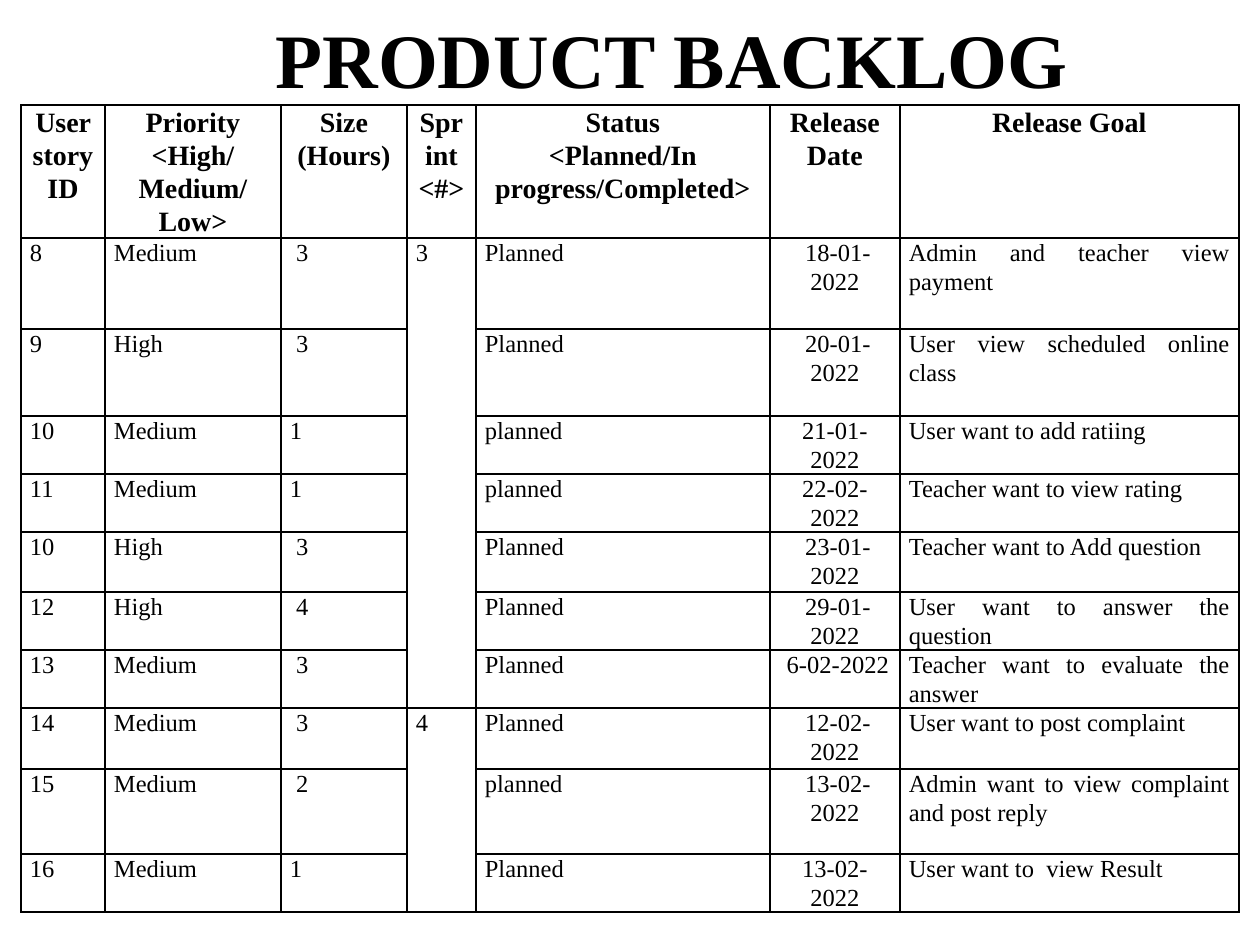
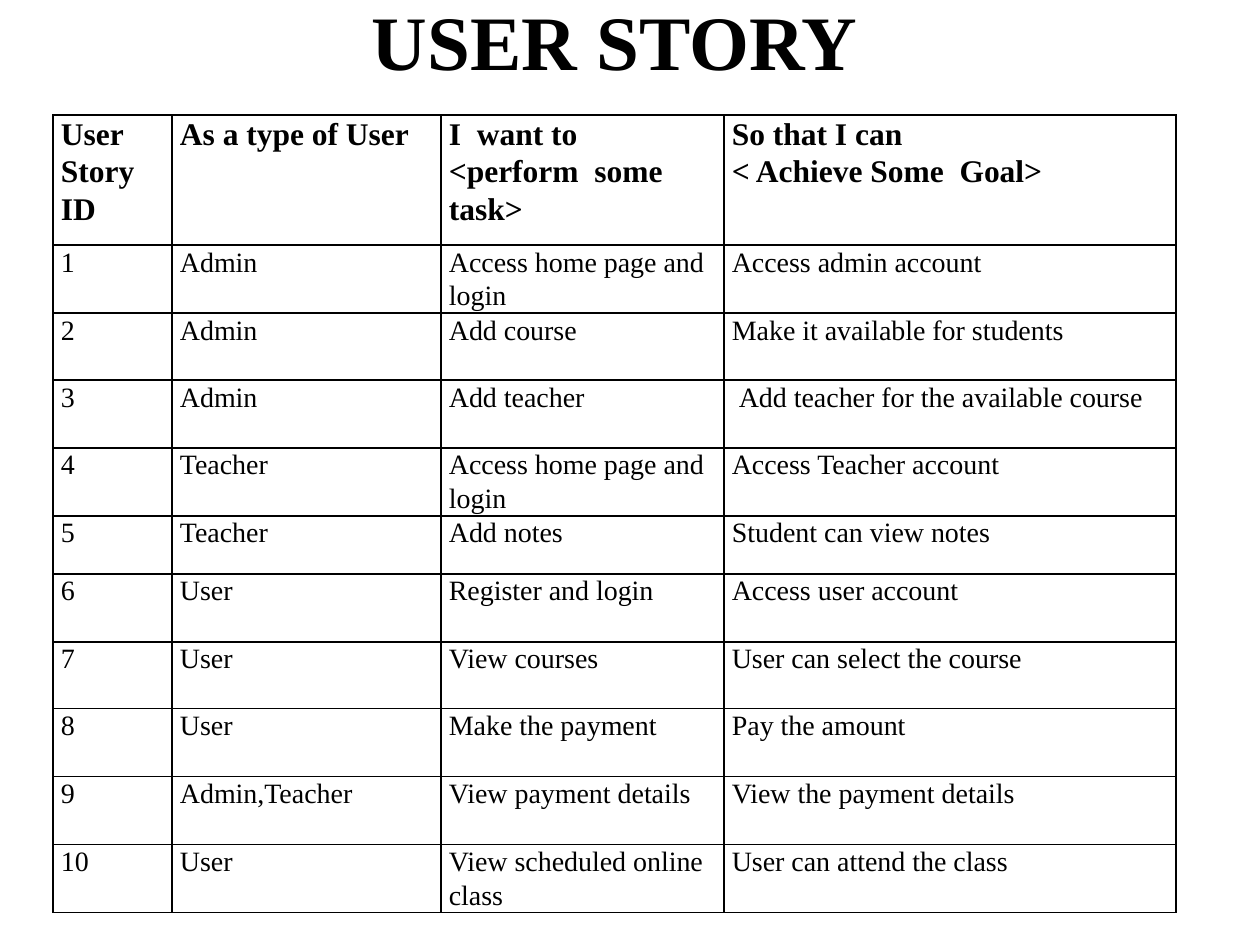
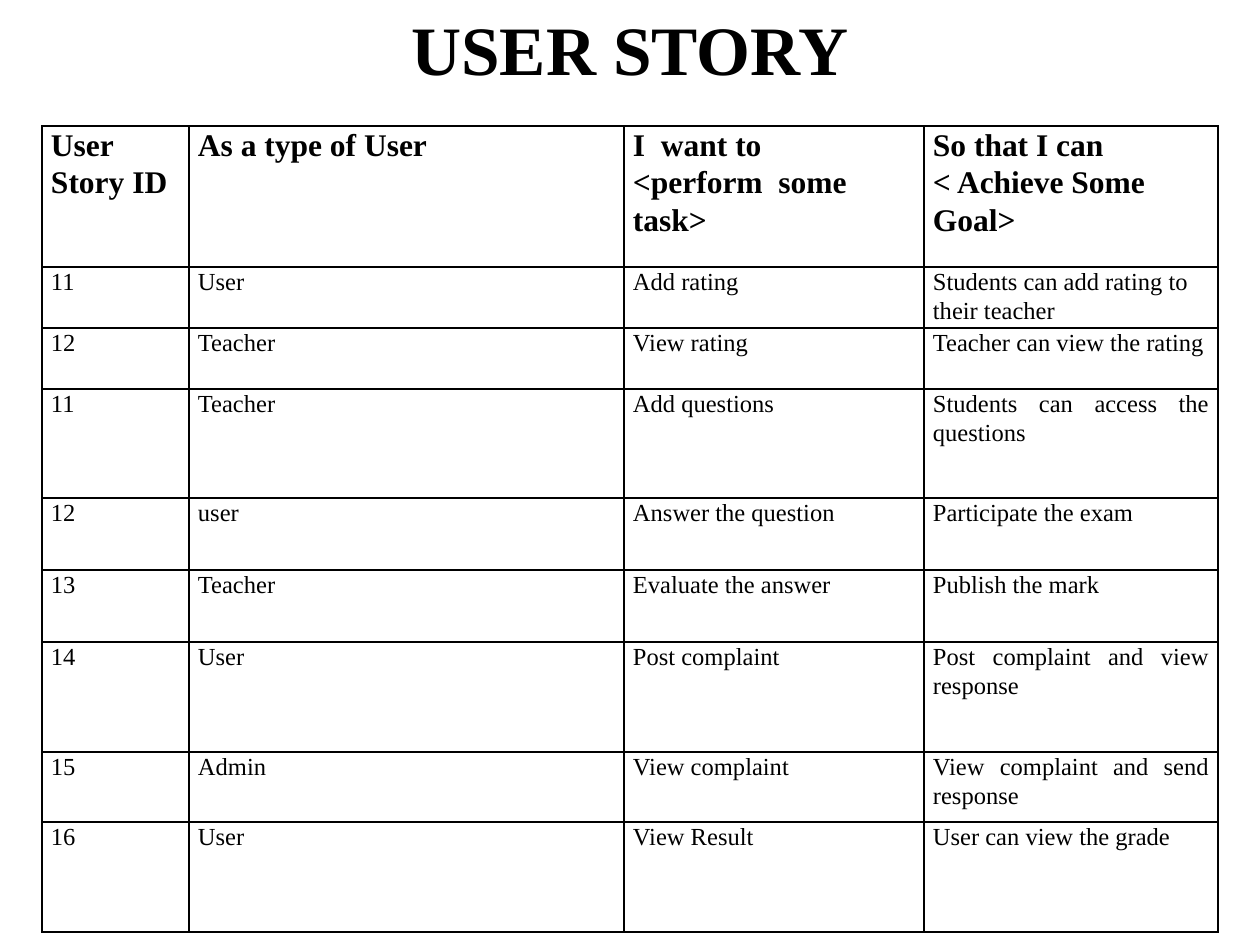
from itertools import pairwise

from lxml import etree
from pptx import Presentation, util as u
from pptx.dml.color import RGBColor
from pptx.enum import text as t
from pptx.oxml import ns

SCALE = 914400 / 126  # EMU per pixel
BLACK = RGBColor(0, 0, 0)
FONT = "Times New Roman"
LEFT, CENTER, JUSTIFY = t.PP_ALIGN.LEFT, t.PP_ALIGN.CENTER, t.PP_ALIGN.JUSTIFY
NBSP = "\u00a0"


def px(length):
    """Turn pixels into EMU."""
    return u.Emu(round(length * SCALE))


def write(frame, content, size, bold, align, spacing=1.0):
    """Fill a text frame, one paragraph for each line of the content."""
    for index, line in enumerate(content.split("\n")):
        paragraph = frame.add_paragraph() if index else frame.paragraphs[0]
        paragraph.alignment = align
        paragraph.line_spacing = spacing
        run = paragraph.add_run()
        run.text = line
        run.font.name = FONT
        run.font.size = u.Pt(size)
        run.font.bold = bold
        run.font.color.rgb = BLACK


backlog_rows = [
    ("User story ID", "Priority\n<High/Medium/Low>", "Size\n(Hours)", "Sprint\n<#>",
     "Status\n<Planned/In progress/Completed>", "Release\nDate", "Release Goal"),
    ("8", "Medium", NBSP + "3", "3", "Planned", NBSP + "18-01-2022",
     "Admin and teacher view payment"),
    ("9", "High", NBSP + "3", "", "Planned", NBSP + "20-01-2022",
     "User view scheduled online class"),
    ("10", "Medium", "1", "", "planned", "21-01-2022", "User want to add ratiing"),
    ("11", "Medium", "1", "", "planned", "22-02-2022", "Teacher want to view rating"),
    ("10", "High", NBSP + "3", "", "Planned", NBSP + "23-01-2022",
     "Teacher want to Add question"),
    ("12", "High", NBSP + "4", "", "Planned", NBSP + "29-01-2022",
     "User want to answer the question"),
    ("13", "Medium", NBSP + "3", "", "Planned", NBSP + "6-02-2022",
     "Teacher want to evaluate the answer"),
    ("14", "Medium", NBSP + "3", "4", "Planned", NBSP + "12-02-2022",
     "User want to post complaint"),
    ("15", "Medium", NBSP + "2", "", "planned", NBSP + "13-02-2022",
     "Admin want to view complaint and post reply"),
    ("16", "Medium", "1", "", "Planned", "13-02-2022", "User want to  view Result"),
]

story_header = ("User Story ID", "As a type of User", "I  want to \n<perform  some task>",
                "So that I can\n< Achieve Some  Goal>")
first_stories = [
    story_header,
    ("1", "Admin", "Access home page and login", "Access admin account"),
    ("2", "Admin", "Add course", "Make it available for students"),
    ("3", "Admin", "Add teacher", NBSP + "Add teacher for the available course"),
    ("4", "Teacher", "Access home page and login", "Access Teacher account"),
    ("5", "Teacher", "Add notes", "Student can view notes"),
    ("6", "User", "Register and login", "Access user account"),
    ("7", "User", "View courses", "User can select the course"),
    ("8", "User", "Make the payment", "Pay the amount"),
    ("9", "Admin,Teacher", "View payment details", "View the payment details"),
    ("10", "User", "View scheduled online class", "User can attend the class"),
]
later_stories = [
    story_header,
    ("11", "User", "Add rating", "Students can add rating to their teacher"),
    ("12", "Teacher", "View rating", "Teacher can view the rating"),
    ("11", "Teacher", "Add questions", "Students can access the questions"),
    ("12", "user", "Answer the question", "Participate the exam"),
    ("13", "Teacher", "Evaluate the answer", "Publish the mark"),
    ("14", "User", "Post complaint", "Post complaint and view response"),
    ("15", "Admin", "View complaint", "View complaint and send response"),
    ("16", "User", "View Result", "User can view the grade"),
]

# x and y are the grid lines of each table; rows from justify_from on are justified.
pages = [
    dict(title="PRODUCT BACKLOG", title_box=(105, -21, 1134, 158), title_size=44,
         rows=backlog_rows, x=(21, 105, 281, 407, 476, 770, 900, 1239),
         y=(105, 237, 328, 415, 473, 531, 591, 649, 707, 768, 853, 911),
         sizes=(16, 14), inset=9, header_align=CENTER, justify_from=1,
         centred_columns=(5,), merges=((1, 7, 3), (8, 10, 3))),
    dict(title="USER STORY", title_box=(32, -116, 1166, 311), title_size=44,
         rows=first_stories, x=(53, 172, 441, 724, 1176),
         y=(115, 245, 313, 380, 448, 516, 574, 642, 709, 777, 845, 913),
         sizes=(18, 16), inset=8, header_align=LEFT, justify_from=99,
         centred_columns=(), merges=()),
    dict(title="USER STORY", title_box=(63, 0, 1134, 95), title_size=39.6,
         rows=later_stories, x=(42, 189, 624, 924, 1218),
         y=(126, 267, 328, 389, 498, 570, 642, 752, 822, 932),
         sizes=(18, 14), inset=9, header_align=LEFT, justify_from=3,
         centred_columns=(), merges=()),
]

presentation = Presentation()
presentation.slide_width, presentation.slide_height = px(1260), px(945)

for page in pages:
    slide = presentation.slides.add_slide(presentation.slide_layouts[5])
    title = slide.shapes.title
    title.left, title.top, title.width, title.height = map(px, page["title_box"])
    title.text_frame.word_wrap = True
    title.text_frame.auto_size = t.MSO_AUTO_SIZE.NONE
    title.text_frame.vertical_anchor = t.MSO_ANCHOR.MIDDLE
    write(title.text_frame, page["title"], page["title_size"], True, CENTER)

    x, y, rows = page["x"], page["y"], page["rows"]
    table = slide.shapes.add_table(len(rows), len(rows[0]), px(x[0]), px(y[0]),
                                   px(x[-1] - x[0]), px(y[-1] - y[0])).table
    table.horz_banding = False
    for column, (start, end) in zip(table.columns, pairwise(x)):
        column.width = px(end - start)
    for row, (start, end) in zip(table.rows, pairwise(y)):
        row.height = px(end - start)

    for row_index, row in enumerate(rows):
        for column_index, content in enumerate(row):
            cell = table.cell(row_index, column_index)
            cell.margin_left = cell.margin_right = px(page["inset"])
            cell.margin_top = cell.margin_bottom = 0
            properties = cell._tc.get_or_add_tcPr()
            for side in ("a:lnL", "a:lnR", "a:lnT", "a:lnB"):
                line = etree.SubElement(properties, ns.qn(side), w=str(u.Pt(1)))
                fill = etree.SubElement(line, ns.qn("a:solidFill"))
                etree.SubElement(fill, ns.qn("a:srgbClr"), val=str(BLACK))
            cell.fill.background()

            is_header = row_index == 0
            if is_header:
                align = page["header_align"]
            elif column_index in page["centred_columns"]:
                align = CENTER
            else:
                align = JUSTIFY if row_index >= page["justify_from"] else LEFT
            if content:
                size = page["sizes"][0 if is_header else 1]
                write(cell.text_frame, content, size, is_header, align, 1.07)

    for first, last, column_index in page["merges"]:
        table.cell(first, column_index).merge(table.cell(last, column_index))

presentation.save("out.pptx")
